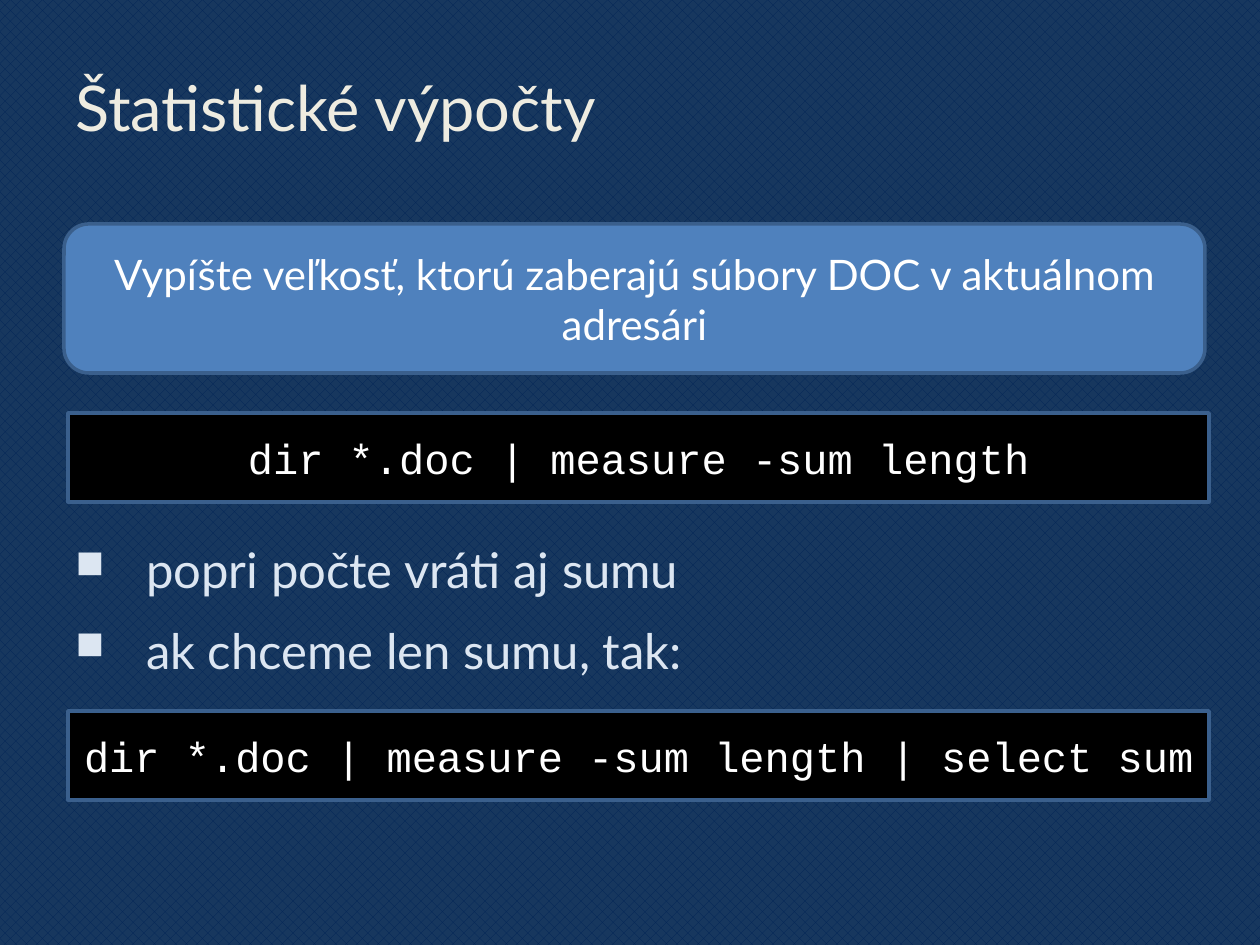
from pptx import Presentation
from pptx.dml.color import RGBColor
from pptx.enum.dml import MSO_PATTERN
from pptx.enum.shapes import MSO_SHAPE
from pptx.enum.text import MSO_ANCHOR, PP_ALIGN
from pptx.oxml import parse_xml
from pptx.oxml.ns import nsdecls
from pptx.util import Emu, Pt

SCALE = 914400 / 126
COLORS = {
    "weave": "012456", "navy": "17375E", "title": "EEECE1", "body": "DCE6F2",
    "task": "4F81BD", "code": "000000", "outline": "3A5F8C", "white": "FFFFFF",
}


def px(length):
    return Emu(round(length * SCALE))


def write(paragraph, text, font_name, size, color):
    paragraph.text = text
    for name, value in {"name": font_name, "size": Pt(size)}.items():
        setattr(paragraph.font, name, value)
    paragraph.font.color.rgb = RGBColor.from_string(COLORS[color])


presentation = Presentation()
presentation.slide_width = px(1260)
presentation.slide_height = px(945)
slide = presentation.slides.add_slide(presentation.slide_layouts[6])

background = slide.background.fill
background.patterned()
background.pattern = MSO_PATTERN.from_xml("pct40")
background.fore_color.rgb = RGBColor.from_string(COLORS["weave"])
background.back_color.rgb = RGBColor.from_string(COLORS["navy"])

title = slide.shapes.add_textbox(px(63), px(38), px(1134), px(137))
title.text_frame.word_wrap = True
title.text_frame.vertical_anchor = MSO_ANCHOR.MIDDLE
write(title.text_frame.paragraphs[0], "Štatistické výpočty", "Lato", 36, "title")

body = slide.shapes.add_textbox(px(63), px(522), px(1134), px(189))
body.text_frame.word_wrap = True
for index, text in enumerate(["popri počte vráti aj sumu", "ak chceme len sumu, tak:"]):
    if index == 0:
        paragraph = body.text_frame.paragraphs[0]
    else:
        paragraph = body.text_frame.add_paragraph()
        paragraph.space_before = Pt(5.6)
    paragraph.line_spacing = 1.2
    properties = paragraph._p.get_or_add_pPr()
    properties.set("marL", str(px(71)))
    properties.set("indent", str(px(-71)))
    for element in (
        f'<a:buClr {nsdecls("a")}><a:srgbClr val="{COLORS["body"]}"/></a:buClr>',
        f'<a:buSzPct {nsdecls("a")} val="80000"/>',
        f'<a:buChar {nsdecls("a")} char="■"/>',
    ):
        properties.append(parse_xml(element))
    write(paragraph, text, "Lato", 28, "body")

boxes = [
    (MSO_SHAPE.ROUNDED_RECTANGLE, 64, 224, 149, "task", "Lato",
     "Vypíšte veľkosť, ktorú zaberajú súbory DOC v aktuálnom adresári"),
    (MSO_SHAPE.RECTANGLE, 68, 413, 89, "code", "Courier New",
     "dir *.doc | measure -sum length"),
    (MSO_SHAPE.RECTANGLE, 68, 711, 89, "code", "Courier New",
     "dir *.doc | measure -sum length | select sum"),
]
for kind, left, top, height, fill, font_name, text in boxes:
    shape = slide.shapes.add_shape(kind, px(left), px(top), px(1141), px(height))
    shape.shadow.inherit = False
    shape.fill.solid()
    shape.fill.fore_color.rgb = RGBColor.from_string(COLORS[fill])
    shape.line.color.rgb = RGBColor.from_string(COLORS["outline"])
    shape.line.width = Pt(2)
    shape.text_frame.word_wrap = True
    shape.text_frame.vertical_anchor = MSO_ANCHOR.MIDDLE
    paragraph = shape.text_frame.paragraphs[0]
    paragraph.alignment = PP_ALIGN.CENTER
    write(paragraph, text, font_name, 24, "white")

presentation.save("out.pptx")
